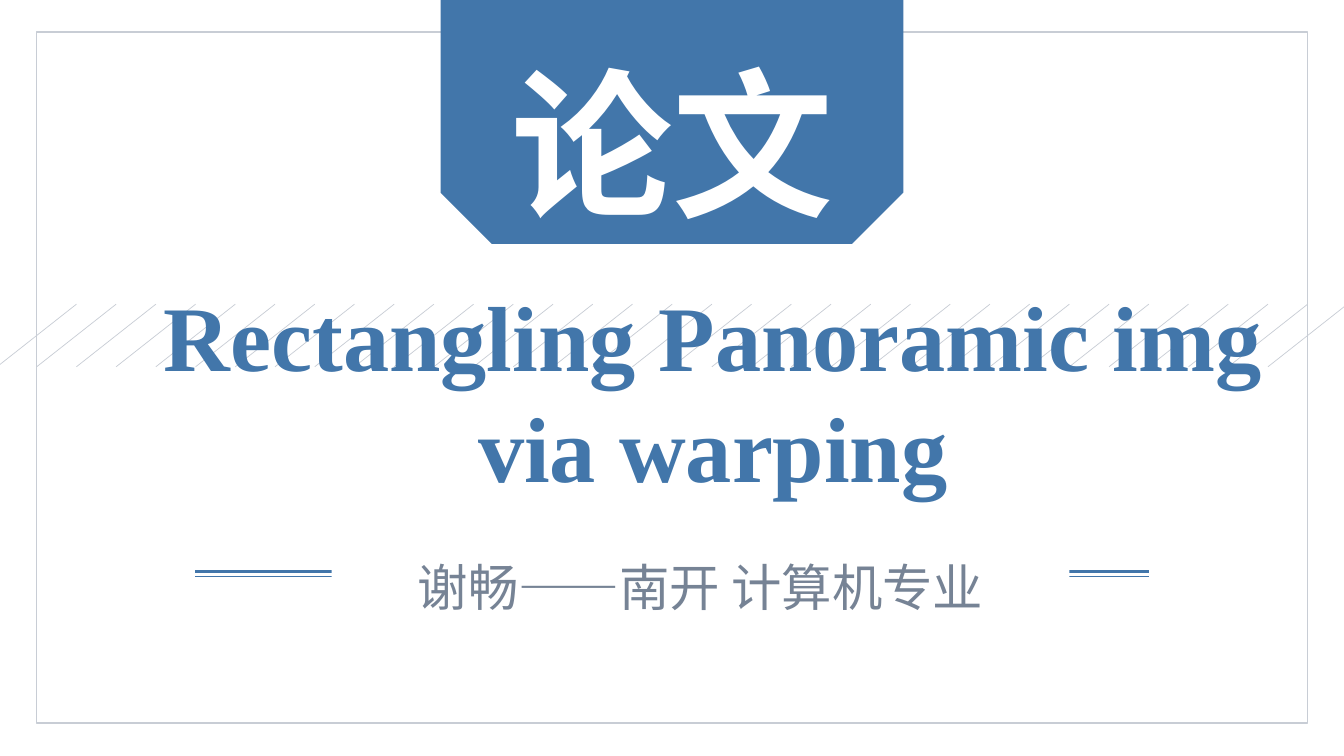
from lxml import etree
from pptx import Presentation
from pptx.dml.color import RGBColor
from pptx.enum import shapes, text
from pptx.oxml import ns
from pptx.util import Pt

BLUE = "4276AA"
SILVER = "C8CDD5"
SLATE = "768395"
WHITE = "FFFFFF"
CJK = "Noto Sans CJK SC"
SERIF = "Times New Roman"


def colour(value):
    return RGBColor.from_string(value)


class Painter:
    def __init__(self, page):
        self.page = page

    def shape(self, kind, left, top, width, height, fill=None, line=None):
        box = self.page.shapes.add_shape(kind, Pt(left), Pt(top), Pt(width), Pt(height))
        box.shadow.inherit = False
        if fill:
            box.fill.solid()
            box.fill.fore_color.rgb = colour(fill)
        else:
            box.fill.background()
        if line:
            box.line.color.rgb = colour(line)
            box.line.width = Pt(1)
        else:
            box.line.fill.background()
        return box

    def line(self, x1, y1, x2, y2, hue, weight):
        rule = self.page.shapes.add_connector(
            shapes.MSO_CONNECTOR.STRAIGHT, Pt(x1), Pt(y1), Pt(x2), Pt(y2))
        rule.line.color.rgb = colour(hue)
        rule.line.width = Pt(weight)
        etree.SubElement(rule._element.spPr, ns.qn("a:effectLst"))

    def label(self, box, lines, size, font, hue, bold=False):
        frame = box.text_frame
        frame.word_wrap = True
        frame.auto_size = text.MSO_AUTO_SIZE.SHAPE_TO_FIT_TEXT
        frame.text = "\n".join(lines)
        for para in frame.paragraphs:
            para.alignment = text.PP_ALIGN.CENTER
            para.font.size = Pt(size)
            para.font.bold = bold
            para.font.color.rgb = colour(hue)
            para.font.name = font
            default = para._p.pPr.find(ns.qn("a:defRPr"))
            etree.SubElement(default, ns.qn("a:ea"), typeface=font)

    def textbox(self, left, top, width, height, lines, size, font, hue, bold=False):
        box = self.page.shapes.add_textbox(Pt(left), Pt(top), Pt(width), Pt(height))
        self.label(box, lines, size, font, hue, bold)


def main():
    deck = Presentation()
    deck.slide_width, deck.slide_height = Pt(960), Pt(540)
    painter = Painter(deck.slides.add_slide(deck.slide_layouts[6]))

    painter.shape(shapes.MSO_SHAPE.RECTANGLE, 26, 23, 908, 493.5, line=SILVER)
    banner = painter.shape(
        shapes.MSO_SHAPE.SNIP_2_SAME_RECTANGLE, 314.7, 0, 330.5, 174.2, fill=BLUE)
    banner.adjustments[0] = 0
    banner.adjustments[1] = 0.21
    painter.textbox(307.5, 28, 345, 147, ["论文"], 115, CJK, WHITE, bold=True)

    for index in range(33):
        hatch_x = 54.6 + 28.37 * index
        painter.line(hatch_x, 217.3, hatch_x - 56.74, 262, SILVER, 0.5)

    painter.textbox(92, 196, 834.5, 167, ["Rectangling Panoramic img", "via warping"],
                    66, SERIF, BLUE, bold=True)

    for rule_y, weight in ((408.3, 2.5), (411.8, 1)):
        painter.line(139.5, rule_y, 820.5, rule_y, BLUE, weight)
    author = painter.shape(shapes.MSO_SHAPE.RECTANGLE, 236.8, 393, 527, 51, fill=WHITE)
    painter.label(author, ["谢畅——南开 计算机专业"], 36, CJK, SLATE)

    deck.save("out.pptx")


if __name__ == "__main__":
    main()
